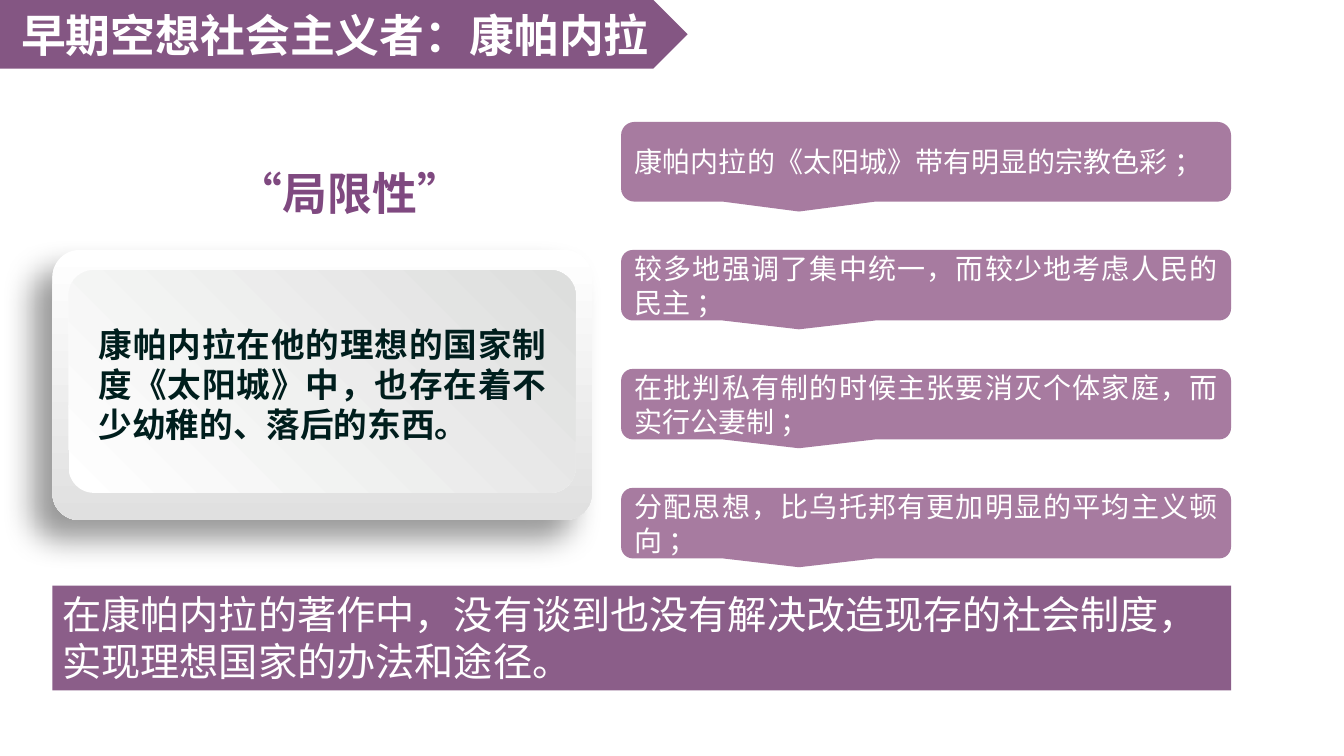
from lxml import etree
from pptx import Presentation
from pptx.dml.color import RGBColor
from pptx.enum import shapes, text
from pptx.oxml import ns
from pptx.util import Inches, Pt

FONT = "Noto Sans CJK SC"
WHITE = RGBColor(0xFF, 0xFF, 0xFF)
GREY = RGBColor(0xE0, 0xE0, 0xE0)
PANEL_GREY = RGBColor(0xDD, 0xDE, 0xDD)
PLUM = RGBColor(0x5A, 0x1B, 0x58)
MAUVE = RGBColor(0x6A, 0x1F, 0x5F)
VIOLET = RGBColor(0x7F, 0x49, 0x80)
INK = RGBColor(0x00, 0x1E, 0x1D)
SHAPE = shapes.MSO_SHAPE
ALIGN = text.PP_ALIGN
ANCHOR = text.MSO_ANCHOR

prs = Presentation()
prs.slide_width, prs.slide_height = Inches(13.33), Inches(7.5)
s = prs.slides.add_slide(prs.slide_layouts[5])


def write(sp, words, size, color=WHITE, bold=False, align=ALIGN.LEFT, anchor=ANCHOR.TOP):
    tf = sp.text_frame
    tf.word_wrap = True
    tf.auto_size = text.MSO_AUTO_SIZE.NONE
    tf.vertical_anchor = anchor
    p = tf.paragraphs[0]
    p.alignment = align
    r = p.add_run()
    r.text = words
    r.font.size, r.font.bold, r.font.name = Pt(size), bold, FONT
    r.font.color.rgb = color
    etree.SubElement(r.font._element, ns.qn("a:ea"), typeface=FONT)


def add_block(kind, left, top, width, height, color=None, opacity=100):
    sp = s.shapes.add_shape(kind, Inches(left), Inches(top), Inches(width), Inches(height))
    sp.shadow.inherit = False
    sp.line.fill.background()
    if color is not None:
        sp.fill.solid()
        sp.fill.fore_color.rgb = color
        clr = sp.fill._xPr.find(".//" + ns.qn("a:srgbClr"))
        etree.SubElement(clr, ns.qn("a:alpha"), val=str(opacity * 1000))
    return sp


# Raised card: outer frame and inner panel
frame = add_block(SHAPE.ROUNDED_RECTANGLE, 0.52, 2.48, 5.35, 2.68)
panel = add_block(SHAPE.ROUNDED_RECTANGLE, 0.68, 2.68, 5.03, 2.21)
for sp, radius, end, angle in [(frame, 0.1, GREY, 270), (panel, 0.115, PANEL_GREY, 45)]:
    sp.adjustments[0] = radius
    sp.fill.gradient()
    sp.fill.gradient_angle = angle
    for stop, color in zip(sp.fill.gradient_stops, (WHITE, end)):
        stop.color.rgb = color

# Soft shadow below and left of the frame
effects = frame._element.spPr.find(ns.qn("a:effectLst"))
shadow = etree.SubElement(effects, ns.qn("a:outerShdw"), blurRad=str(Pt(22)),
                          dist=str(Pt(20)), dir=str(135 * 60000), algn="tr", rotWithShape="0")
clr = etree.SubElement(shadow, ns.qn("a:srgbClr"), val="000000")
etree.SubElement(clr, ns.qn("a:alpha"), val="40000")

# Title on its arrow banner
banner = add_block(SHAPE.PENTAGON, 0, 0, 6.82, 0.68, PLUM, 74)
title = s.shapes.title
title.left, title.top, title.width, title.height = 0, 0, Inches(6.65), Inches(0.68)
s.shapes._spTree.append(title._element)
write(title, "早期空想社会主义者：康帕内拉", 32, bold=True, align=ALIGN.CENTER, anchor=ANCHOR.MIDDLE)

# Card statement and heading
statement = s.shapes.add_textbox(Inches(0.88), Inches(3.16), Inches(4.64), Inches(1.31))
write(statement, "康帕内拉在他的理想的国家制度《太阳城》中，也存在着不少幼稚的、落后的东西。",
      24, INK, bold=True, align=ALIGN.JUSTIFY)
heading = s.shapes.add_textbox(Inches(2.26), Inches(1.59), Inches(2.69), Inches(0.64))
write(heading, "“局限性”", 32, VIOLET, bold=True)

# Callouts: the first is taller, the rest follow at an equal pitch
points = [
    "康帕内拉的《太阳城》带有明显的宗教色彩 ；",
    "较多地强调了集中统一，而较少地考虑人民的民主 ；",
    "在批判私有制的时候主张要消灭个体家庭，而实行公妻制 ；",
    "分配思想，比乌托邦有更加明显的平均主义顿向 ；",
]
for i, words in enumerate(points):
    top, height = (2.48 + (i - 1) * 1.18, 0.7) if i else (1.21, 0.79)
    callout = add_block(SHAPE.ROUNDED_RECTANGULAR_CALLOUT, 6.16, top, 6.05, height, MAUVE, 59)
    write(callout, words, 20, align=ALIGN.JUSTIFY, anchor=ANCHOR.MIDDLE)

# Conclusion bar
bar = add_block(SHAPE.RECTANGLE, 0.52, 5.81, 11.69, 1.04, PLUM, 70)
write(bar, "在康帕内拉的著作中，没有谈到也没有解决改造现存的社会制度，实现理想国家的办法和途径。", 28)

prs.save("out.pptx")
